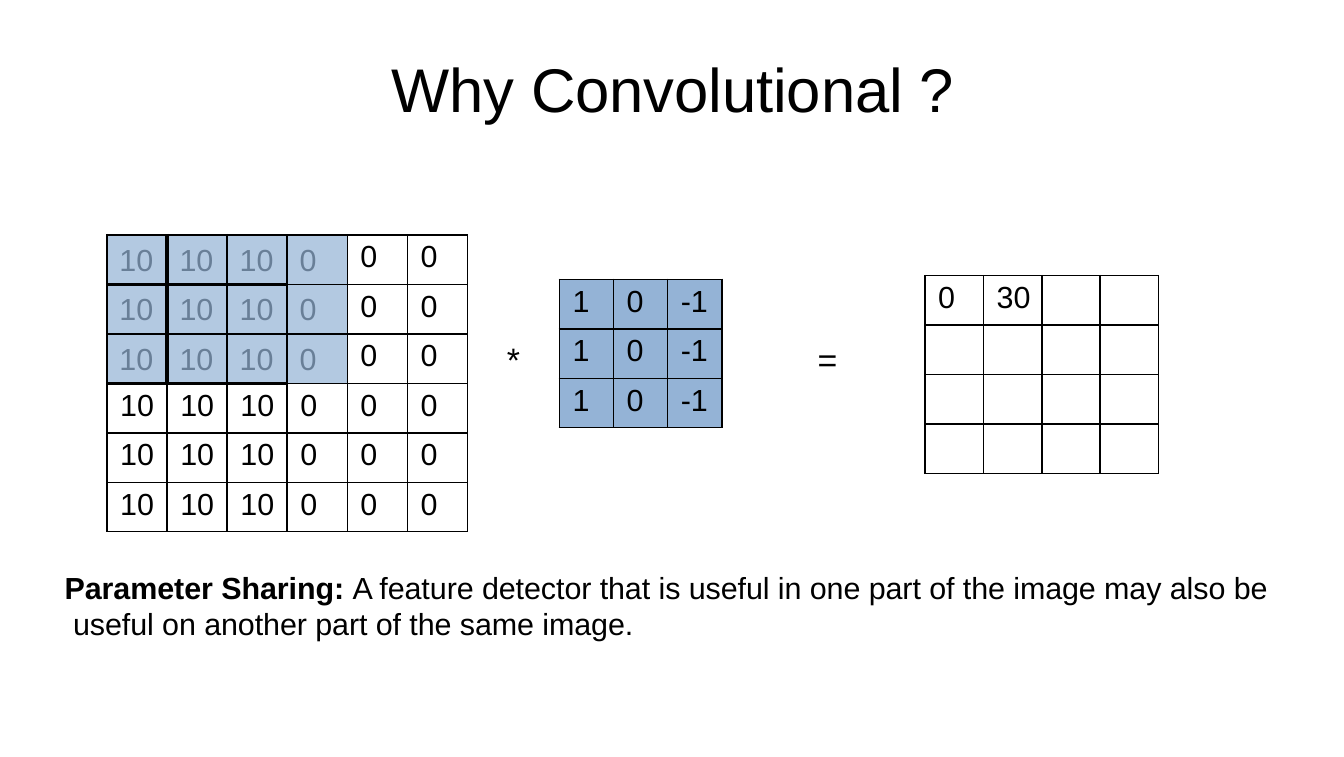
from lxml import etree
from pptx import Presentation
from pptx.dml.color import RGBColor
from pptx.enum.text import MSO_ANCHOR, PP_ALIGN
from pptx.oxml.ns import qn
from pptx.util import Pt

MIDDLE = MSO_ANCHOR.MIDDLE
CENTER = PP_ALIGN.CENTER
TITLE_ONLY = 5

FONT = "Arial"
COLORS = {"ink": "000000", "kernel": "94B3D6"}
TIGHT = -0.05
ROW_HEIGHT = 29.2
CELL_INDENT = 7.8
THIN, MEDIUM, THICK = 1, 1.5, 2.25

INPUT_LEFT, INPUT_TOP, INPUT_COLUMN = 63.2, 138.8, 35.5
INPUT_ROW = [10, 10, 10, 0, 0, 0]
PATCH_ROWS, PATCH_COLUMNS, HEAVY_COLUMNS = 3, 4, 3
PATCH_VERTICALS = [THIN, THICK, MEDIUM, MEDIUM, THIN]


def color(name):
    return RGBColor.from_string(COLORS[name])


def format_run(run, size, bold=False, spacing=0):
    """Style a run; spacing is the tracking in points."""
    run.font.name = FONT
    run.font.size = Pt(size)
    run.font.bold = bold
    run.font.color.rgb = color("ink")
    if spacing:
        run.font._element.set("spc", str(round(spacing * 100)))


def clear_margins(frame, top=0):
    frame.margin_left = frame.margin_right = frame.margin_bottom = 0
    frame.margin_top = Pt(top)


def add_title(slide, text):
    title = slide.shapes.title
    title.left, title.top, title.width, title.height = Pt(193), Pt(28.5), Pt(409), Pt(45.4)
    frame = title.text_frame
    frame.text = text
    frame.vertical_anchor = MIDDLE
    clear_margins(frame, top=1)
    frame.paragraphs[0].alignment = CENTER
    format_run(frame.paragraphs[0].runs[0], 36.4, spacing=TIGHT)


def add_label(slide, text, left, top, width, height, size, inset=0):
    box = slide.shapes.add_textbox(Pt(left), Pt(top), Pt(width), Pt(height))
    frame = box.text_frame
    frame.word_wrap = True
    clear_margins(frame, top=inset)
    frame.text = text
    format_run(frame.paragraphs[0].runs[0], size)
    return frame.paragraphs[0]


def add_patch_values(slide):
    """Put the values under the translucent part of the input matrix."""
    for row in range(PATCH_ROWS):
        for column in range(PATCH_COLUMNS):
            value = add_label(slide, str(INPUT_ROW[column]),
                              INPUT_LEFT + 7.4 + column * INPUT_COLUMN,
                              INPUT_TOP + 5.2 + row * ROW_HEIGHT, 22, 20, 18)
            value.line_spacing = Pt(19.9)


def set_borders(cell, widths):
    """Draw the left, right, top and bottom edges, widths in points."""
    properties = cell._tc.get_or_add_tcPr()
    for side, width in zip("LRTB", widths):
        line = etree.SubElement(properties, qn(f"a:ln{side}"), w=str(Pt(width)))
        fill = etree.SubElement(line, qn("a:solidFill"))
        etree.SubElement(fill, qn("a:srgbClr"), val=COLORS["ink"])


def fill_cell(cell, opacity=100):
    cell.fill.solid()
    cell.fill.fore_color.rgb = color("kernel")
    if opacity < 100:
        tint = cell._tc.tcPr.find(qn("a:solidFill")).find(qn("a:srgbClr"))
        etree.SubElement(tint, qn("a:alpha"), val=str(opacity * 1000))


def thin_edges(row, column):
    return [THIN] * 4


def input_edges(row, column):
    """Edges of the input matrix, heavier around the scanned patch."""
    left = right = top = bottom = THIN
    if row < PATCH_ROWS and column < PATCH_COLUMNS:
        left, right = PATCH_VERTICALS[column:column + 2]
    if column < HEAVY_COLUMNS:
        top = MEDIUM if row <= PATCH_ROWS else THIN
        bottom = MEDIUM if row < PATCH_ROWS else THIN
    return [left, right, top, bottom]


def add_matrix(slide, values, left, top, column_width, edges=thin_edges):
    rows, columns = len(values), len(values[0])
    table = slide.shapes.add_table(rows, columns, Pt(left), Pt(top),
                                   Pt(columns * column_width), Pt(rows * ROW_HEIGHT)).table
    table.first_row = table.horz_banding = False
    for table_column in table.columns:
        table_column.width = Pt(column_width)
    for table_row in table.rows:
        table_row.height = Pt(ROW_HEIGHT)
    for row, row_values in enumerate(values):
        for column, value in enumerate(row_values):
            cell = table.cell(row, column)
            clear_margins(cell, top=3)
            cell.margin_left = Pt(CELL_INDENT)
            set_borders(cell, edges(row, column))
            cell.fill.background()
            cell.text = str(value)
            for run in cell.text_frame.paragraphs[0].runs:
                format_run(run, 18)
    return table


def add_explanation(slide, term, meaning):
    paragraph = add_label(slide, term, 37.2, 334.8, 716, 45.4, 18, inset=1)
    format_run(paragraph.runs[0], 18, bold=True, spacing=TIGHT)
    sentence = paragraph.add_run()
    sentence.text = meaning
    format_run(sentence, 18, spacing=TIGHT)
    indents = paragraph._p.get_or_add_pPr()
    indents.set("marL", str(Pt(6)))
    indents.set("indent", str(Pt(-5)))


def main():
    presentation = Presentation()
    presentation.slide_width, presentation.slide_height = Pt(794), Pt(447)
    slide = presentation.slides.add_slide(presentation.slide_layouts[TITLE_ONLY])

    add_title(slide, "Why Convolutional ?")
    for operator, left in (("*", 299.5), ("=", 483)):
        add_label(slide, operator, left, 198.7, 14, 26, 20, inset=1)

    kernel = add_matrix(slide, [[1, 0, -1]] * 3, 330.5, 165, 32)
    for cell in kernel.iter_cells():
        fill_cell(cell)

    add_patch_values(slide)
    add_matrix(slide, [[0, 30, "", ""]] + [[""] * 4] * 3, 546.5, 162.7, 34.5)

    scanned_row = [""] * PATCH_COLUMNS + INPUT_ROW[PATCH_COLUMNS:]
    input_values = [scanned_row] * PATCH_ROWS + [INPUT_ROW] * 3
    input_matrix = add_matrix(slide, input_values, INPUT_LEFT, INPUT_TOP,
                              INPUT_COLUMN, input_edges)
    for row in range(PATCH_ROWS):
        for column in range(PATCH_COLUMNS):
            fill_cell(input_matrix.cell(row, column), opacity=71)

    add_explanation(slide, "Parameter Sharing: ",
                    "A feature detector that is useful in one part of the image may "
                    "also be useful on another part of the same image.")
    presentation.save("out.pptx")


if __name__ == "__main__":
    main()
